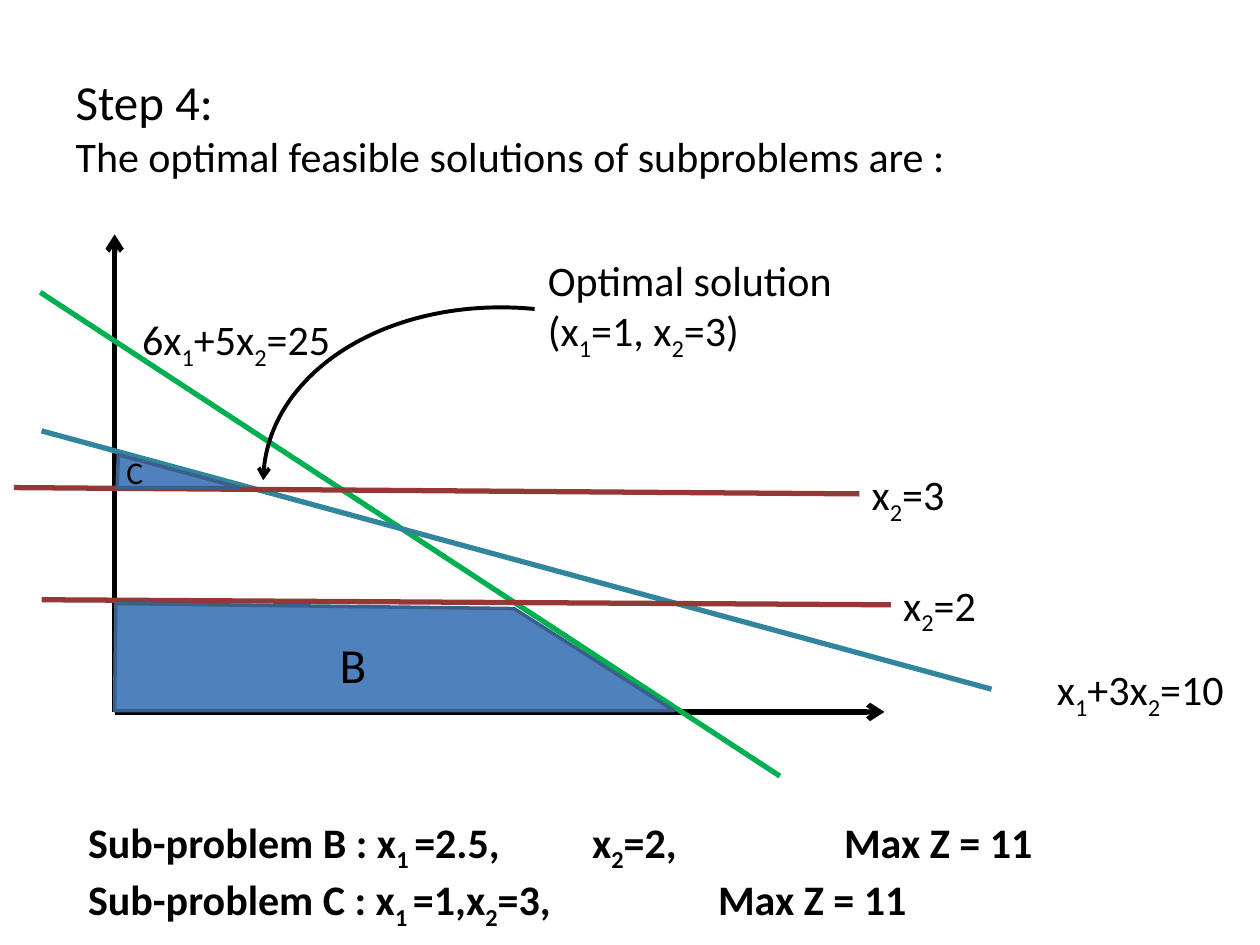
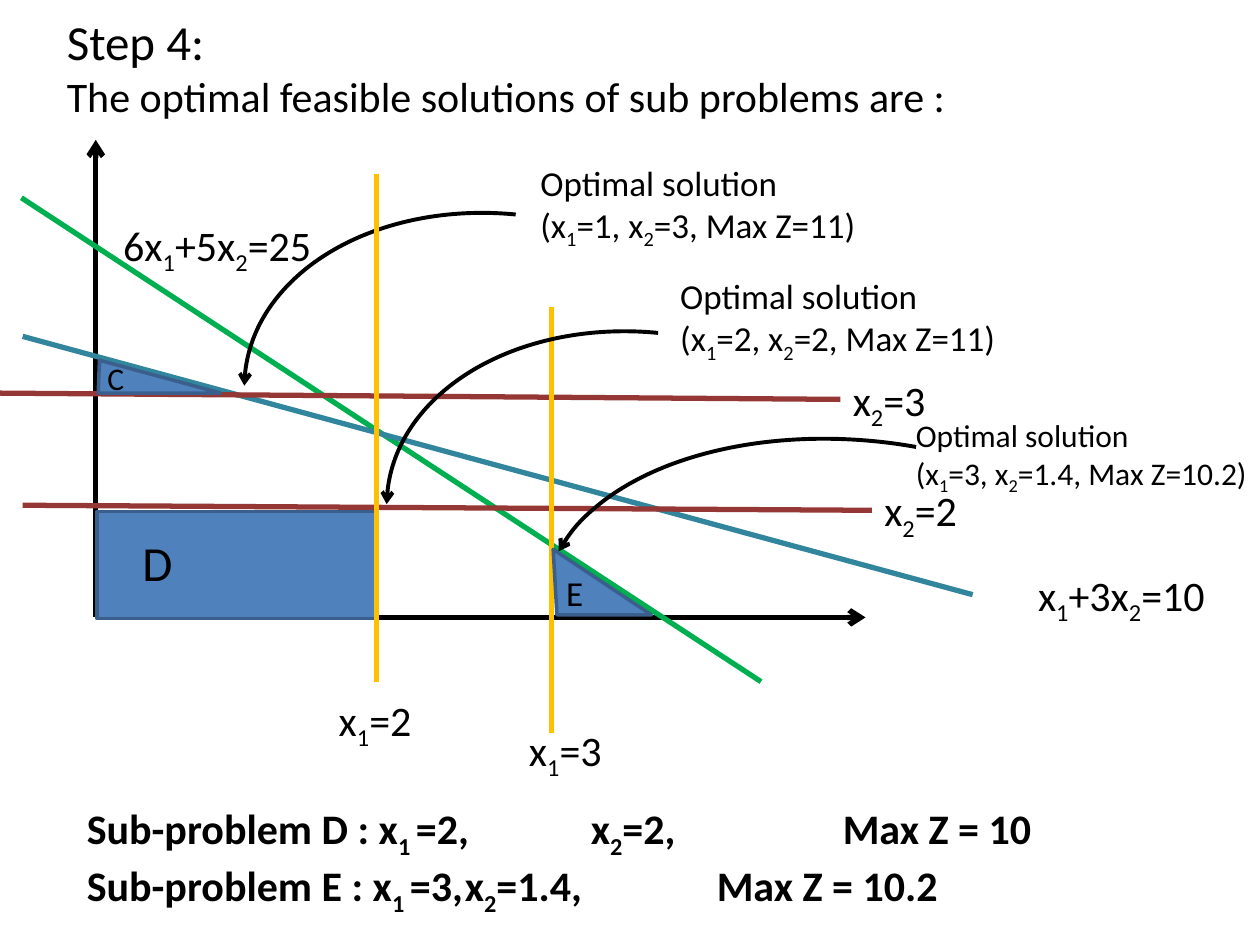
from typing import NamedTuple

from lxml import etree
from pptx import Presentation
from pptx.dml.color import RGBColor
from pptx.enum import shapes, text
from pptx.oxml import ns
from pptx.util import Inches, Pt

FONT = "Calibri"
BLACK, GREEN, TEAL, RED, AMBER = "000000", "00B050", "31859C", "953735", "FFC000"
REGION_FILL, REGION_EDGE = "4F81BD", "3A5F8C"
LINE_WIDTH, ARC_WIDTH, EDGE_WIDTH = 3, 2.25, 2
ARC_ROTATION = 275.6
TAB_STOPS = range(1, 9)

Point = tuple[float, float]


class Line(NamedTuple):
    start: Point
    end: Point
    colour: str
    arrow: bool = False


class Label(NamedTuple):
    """Text whose braces enclose subscripts."""
    paragraphs: list[str]
    left: float
    top: float
    width: float
    height: float
    size: float = 24
    centred: bool = False
    bold: bool = False
    wrap: bool = False


class Arc(NamedTuple):
    """Pointer curve; angles are in degrees, clockwise from the right."""
    left: float
    top: float
    height: float = 4.03
    start_angle: float = 267.37
    end_angle: float = 0


# Everything in the shared diagram is measured from the origin of its axes.
DIAGRAM_LINES = [
    Line((0, -3.79), (0, 0), BLACK, arrow=True),
    Line((6.11, 0), (0, 0), BLACK, arrow=True),
    Line((5.28, 0.51), (-0.59, -3.33), GREEN),
    Line((6.96, -0.18), (-0.58, -2.23), TEAL),
    Line((6.16, -0.85), (-0.58, -0.89), RED),
    Line((5.91, -1.73), (-0.8, -1.78), RED),
]
DIAGRAM_LABELS = [
    Label(["6x{1}+5x{2}=25"], 0.12, -3.21, 1.74, 0.5),
    Label(["x{1}+3x{2}=10"], 7.38, -0.43, 1.57, 0.5),
    Label(["x{2}=2"], 6.16, -1.1, 0.8, 0.5),
    Label(["x{2}=3"], 5.91, -1.98, 0.8, 0.5),
    Label(["C"], -0.01, -2.1, 0.34, 0.4, 18, centred=True),
]
REGION_C = [(0.02, -1.78), (0.03, -2.04), (0.99, -1.78)]
ARC_TO_C = Arc(1.72, -3.75)


def rgb(colour: str) -> RGBColor:
    return RGBColor.from_string(colour)


def style_line(shape, colour: str, width: float, arrow: bool = False) -> None:
    shape.line.color.rgb = rgb(colour)
    shape.line.width = Pt(width)
    if arrow:
        outline = shape._element.spPr.find(ns.qn("a:ln"))
        etree.SubElement(outline, ns.qn("a:headEnd"), type="arrow")


def draw_line(slide, line: Line) -> None:
    ends = [Inches(value) for value in (*line.start, *line.end)]
    connector = slide.shapes.add_connector(shapes.MSO_CONNECTOR.STRAIGHT, *ends)
    style_line(connector, line.colour, LINE_WIDTH, line.arrow)
    etree.SubElement(connector._element.spPr, ns.qn("a:effectLst"))


def draw_arc(slide, arc: Arc) -> None:
    box = [Inches(value) for value in (arc.left, arc.top, 2.94, arc.height)]
    shape = slide.shapes.add_shape(shapes.MSO_SHAPE.ARC, *box)
    # Angles are stored in 60000ths of a degree, adjustments in 100000ths.
    shape.adjustments[0] = arc.start_angle * 0.6
    shape.adjustments[1] = arc.end_angle * 0.6
    shape.rotation = ARC_ROTATION
    shape.fill.background()
    shape.shadow.inherit = False
    style_line(shape, BLACK, ARC_WIDTH, arrow=True)


def style_region(shape) -> None:
    shape.fill.solid()
    shape.fill.fore_color.rgb = rgb(REGION_FILL)
    shape.shadow.inherit = False
    style_line(shape, REGION_EDGE, EDGE_WIDTH)


def draw_region(slide, points: list[Point]) -> None:
    corners = [(Inches(x), Inches(y)) for x, y in points]
    builder = slide.shapes.build_freeform(*corners[0])
    builder.add_line_segments(corners[1:], close=True)
    style_region(builder.convert_to_shape())


def format_run(run, size: float, bold: bool = False) -> None:
    run.font.name = FONT
    run.font.size = Pt(size)
    run.font.bold = bold
    run.font.color.rgb = rgb(BLACK)


def add_tab_stops(paragraph) -> None:
    tabs = etree.SubElement(paragraph._p.get_or_add_pPr(), ns.qn("a:tabLst"))
    for stop in TAB_STOPS:
        etree.SubElement(tabs, ns.qn("a:tab"), pos=str(Inches(stop)), algn="l")


def draw_label(slide, label: Label) -> None:
    box = [Inches(value) for value in label[1:5]]
    frame = slide.shapes.add_textbox(*box).text_frame
    frame.word_wrap = label.wrap
    frame.auto_size = text.MSO_AUTO_SIZE.SHAPE_TO_FIT_TEXT
    for index, content in enumerate(label.paragraphs):
        paragraph = frame.add_paragraph() if index else frame.paragraphs[0]
        if label.centred:
            paragraph.alignment = text.PP_ALIGN.CENTER
        if "\t" in content:
            add_tab_stops(paragraph)
        for position, piece in enumerate(content.replace("}", "{").split("{")):
            run = paragraph.add_run()
            run.text = piece
            format_run(run, label.size, label.bold)
            if position % 2:
                run._r.get_or_add_rPr().set("baseline", "-25000")


def add_titled_slide(presentation, title: str, left: float, top: float):
    slide = presentation.slides.add_slide(presentation.slide_layouts[5])
    placeholder = slide.shapes.title
    placeholder.left, placeholder.top = Inches(left), Inches(top)
    placeholder.width, placeholder.height = Inches(9.49), Inches(0.98)
    frame = placeholder.text_frame
    frame.text = f"Step 4:\n{title}"
    frame.word_wrap = True
    frame.auto_size = text.MSO_AUTO_SIZE.NONE
    frame.vertical_anchor = text.MSO_ANCHOR.TOP
    for paragraph, size in zip(frame.paragraphs, (28, 24)):
        paragraph.alignment = text.PP_ALIGN.LEFT
        format_run(paragraph.runs[0], size)
    return slide


def draw_diagram(slide, origin: Point) -> None:
    """Draw the axes, constraints, region C and its arrow."""
    origin_x, origin_y = origin

    def place(point: Point) -> Point:
        return origin_x + point[0], origin_y + point[1]

    for line in DIAGRAM_LINES:
        draw_line(slide, line._replace(start=place(line.start), end=place(line.end)))
    draw_region(slide, [place(point) for point in REGION_C])
    for item, draw in [(ARC_TO_C, draw_arc)] + [(label, draw_label) for label in DIAGRAM_LABELS]:
        left, top = place((item.left, item.top))
        draw(slide, item._replace(left=left, top=top))


def draw_results(slide, left: float, top: float, rows: list[str]) -> None:
    draw_label(slide, Label(rows, left, top, 9.49, 0.91, bold=True, wrap=True))


def build_first_branch(presentation) -> None:
    slide = add_titled_slide(
        presentation, "The optimal feasible solutions of subproblems are :", 0.5, 0.52)
    draw_diagram(slide, (0.91, 5.65))
    draw_region(slide, [(0.92, 4.79), (4.08, 4.83), (5.35, 5.64), (0.91, 5.64)])
    draw_label(slide, Label(["B"], 2.59, 4.99, 0.42, 0.57, 28, centred=True))
    draw_label(slide, Label(["Optimal solution", "(x{1}=1, x{2}=3)"], 4.25, 1.97, 2.52, 0.91))
    draw_results(slide, 0.6, 6.43, [
        "Sub-problem B : x{1 }=2.5,\tx{2}=2,\t\tMax Z = 11",
        "Sub-problem C : x{1 }=1,\tx{2}=3,\t\tMax Z = 11",
    ])


def build_second_branch(presentation) -> None:
    slide = add_titled_slide(
        presentation, "The optimal feasible solutions of sub problems are :", 0.43, 0.04)
    draw_diagram(slide, (0.76, 4.9))
    region_d = slide.shapes.add_shape(
        shapes.MSO_SHAPE.RECTANGLE, Inches(0.77), Inches(4.06), Inches(2.22), Inches(0.85))
    style_region(region_d)
    draw_line(slide, Line((2.99, 1.38), (2.99, 5.41), AMBER))
    draw_line(slide, Line((4.38, 2.44), (4.38, 5.82), AMBER))
    draw_region(slide, [(4.42, 4.88), (4.39, 4.36), (5.17, 4.88)])
    draw_arc(slide, Arc(3.61, 2.09))
    draw_arc(slide, Arc(5.33, 2.48, 4.97, 278.4, 12.79))
    for label in [
        Label(["D"], 1.03, 4.18, 0.44, 0.57, 28, centred=True),
        Label(["E"], 4.39, 4.49, 0.34, 0.44, 20, centred=True),
        Label(["x{1}=2"], 2.59, 5.46, 0.8, 0.5),
        Label(["x{1}=3"], 4.1, 5.7, 0.8, 0.5),
        Label(["Optimal solution", "(x{1}=3, x{2}=1.4, Max Z=10.2)"], 7.17, 3.25, 2.88, 0.71, 18),
        Label(["Optimal solution", "(x{1}=2, x{2}=2, Max Z=11)"], 5.3, 2.13, 2.75, 0.77, 20),
        Label(["Optimal solution", "(x{1}=1, x{2}=3, Max Z=11)"], 4.19, 1.23, 2.75, 0.77, 20),
    ]:
        draw_label(slide, label)
    draw_results(slide, 0.59, 6.32, [
        "Sub-problem D : x{1 }=2,\tx{2}=2,\t\tMax Z = 10",
        "Sub-problem E : x{1 }=3,\tx{2}=1.4,\t\tMax Z = 10.2",
    ])


def main() -> None:
    presentation = Presentation()
    presentation.slide_width, presentation.slide_height = Inches(10), Inches(7.5)
    build_first_branch(presentation)
    build_second_branch(presentation)
    presentation.save("out.pptx")


if __name__ == "__main__":
    main()
